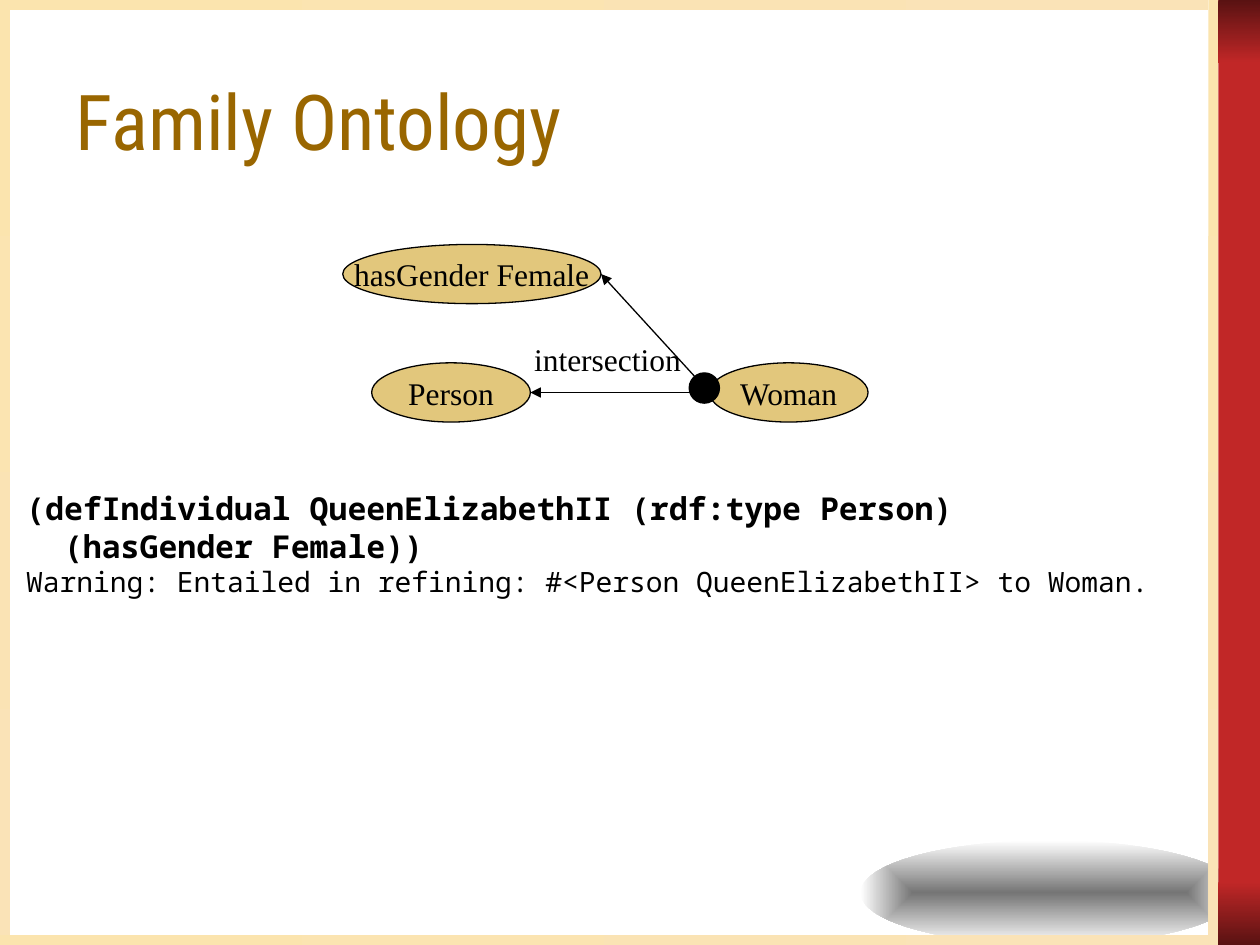
from lxml import etree
from pptx import Presentation
from pptx.dml.color import RGBColor
from pptx.enum.shapes import MSO_CONNECTOR, MSO_SHAPE
from pptx.enum.text import MSO_ANCHOR, MSO_AUTO_SIZE, PP_ALIGN
from pptx.oxml import parse_xml
from pptx.oxml.ns import nsdecls, qn
from pptx.util import Inches, Pt

COLORS = {
    "title": "996600", "ink": "000000", "node": "E2C77C",
    "cream": "FBE4AE", "sand": "FAE3B7", "red": "C12727",
    "maroon": "591212", "grey": "757575", "white": "FFFFFF",
}
FONTS = {"title": "Roboto Condensed", "code": "Noto Sans Mono", "label": "Times New Roman"}


def rgb(name):
    """Return the palette colour with this name."""
    return RGBColor.from_string(COLORS[name])


def style(paragraph, font, size, color="ink", bold=False):
    """Format every run of a paragraph."""
    for r in paragraph.runs:
        r.font.name = FONTS[font]
        r.font.size = Pt(size)
        r.font.bold = bold
        r.font.color.rgb = rgb(color)


def add_shape(s, kind, box, fill=None, line=None):
    """Add a flat preset shape in a box given in inches."""
    sp = s.shapes.add_shape(kind, *map(Inches, box))
    sp.shadow.inherit = False
    if fill:
        sp.fill.solid()
        sp.fill.fore_color.rgb = rgb(fill)
    if line:
        sp.line.color.rgb = rgb(line)
        sp.line.width = Pt(0.75)
    else:
        sp.line.fill.background()
    return sp


def add_gradient(s, kind, box, colors, angle=270):
    """Add a shape with a two-colour linear gradient."""
    sp = add_shape(s, kind, box)
    sp.fill.gradient()
    sp.fill.gradient_angle = angle
    for stop, color, position in zip(sp.fill.gradient_stops, colors, (0, 1)):
        stop.color.rgb = rgb(color)
        stop.position = position
    return sp


def add_frame(s, width, height):
    """Draw the grey oval, the cream border and the red side bar."""
    edge, bar = 0.08, 0.33
    left = width - bar
    inner = left - edge
    oval = add_gradient(s, MSO_SHAPE.OVAL, (6.83, 6.67, 3, 0.83), ("grey", "white"))
    lin = oval.element.spPr.find(".//" + qn("a:lin"))
    lin.getparent().replace(lin, parse_xml(
        f'<a:path {nsdecls("a")} path="rect">'
        '<a:fillToRect l="50000" t="50000" r="50000" b="50000"/></a:path>'))
    add_shape(s, MSO_SHAPE.RECTANGLE, (left, 0, bar, height), "red")
    for top, colors in ((0, ("maroon", "red")), (height - 0.5, ("red", "maroon"))):
        add_gradient(s, MSO_SHAPE.RECTANGLE, (left, top, bar, 0.5), colors)
    for x in (0, inner):
        add_gradient(s, MSO_SHAPE.RECTANGLE, (x, 0, edge, height), ("cream", "sand"))
    for y in (0, height - edge):
        add_gradient(s, MSO_SHAPE.RECTANGLE, (0, y, inner, edge), ("sand", "cream"), 180)


def add_title(s, box, text):
    """Place and format the title placeholder in front of the frame."""
    title = s.shapes.title
    title.left, title.top, title.width, title.height = map(Inches, box)
    s.shapes.element.append(title.element)
    tf = title.text_frame
    tf.text = text
    tf.vertical_anchor = MSO_ANCHOR.MIDDLE
    tf.paragraphs[0].alignment = PP_ALIGN.LEFT
    style(tf.paragraphs[0], "title", 44, "title")


def add_text(s, box, font, lines):
    """Write lines of text, each given as text, size and bold."""
    tf = s.shapes.add_textbox(*map(Inches, box)).text_frame
    tf.word_wrap = True
    tf.auto_size = MSO_AUTO_SIZE.SHAPE_TO_FIT_TEXT
    tf.text = "\n".join(text for text, _, _ in lines)
    for p, (_, size, bold) in zip(tf.paragraphs, lines):
        style(p, font, size, bold=bold)


def add_node(s, box, text):
    """Add a labelled concept oval."""
    sp = add_shape(s, MSO_SHAPE.OVAL, box, "node", "ink")
    tf = sp.text_frame
    tf.text = text
    tf.word_wrap = False
    tf.vertical_anchor = MSO_ANCHOR.MIDDLE
    tf.paragraphs[0].alignment = PP_ALIGN.CENTER
    style(tf.paragraphs[0], "label", 18)
    return sp


def add_arrow(s, source, target):
    """Draw an arrow from the left of one node to the right of another."""
    line = s.shapes.add_connector(
        MSO_CONNECTOR.STRAIGHT, source.left, source.top + source.height // 2,
        target.left + target.width, target.top + target.height // 2)
    line.line.color.rgb = rgb("ink")
    line.line.width = Pt(0.75)
    ln = line.element.spPr.find(qn("a:ln"))
    etree.SubElement(ln, qn("a:tailEnd"), type="triangle")
    etree.SubElement(line.element.spPr, qn("a:effectLst"))


def add_diagram(s, left, top):
    """Draw the intersection that defines Woman."""
    high, row = 0.47, top + 0.94
    person = add_node(s, (left + 0.23, row, 1.26, high), "Person")
    woman = add_node(s, (left + 2.91, row, 1.26, high), "Woman")
    add_text(s, (left + 1.42, top + 0.71, 1.42, 0.4), "label", [("intersection", 18, False)])
    female = add_node(s, (left, top, 2.05, high), "hasGender Female")
    for target in (person, female):
        add_arrow(s, woman, target)
    add_shape(s, MSO_SHAPE.OVAL, (left + 2.75, row + 0.08, 0.24, 0.24), "ink", "ink")


def main():
    """Build the slide and save it."""
    width, height = 10, 7.5
    prs = Presentation()
    prs.slide_width, prs.slide_height = Inches(width), Inches(height)
    s = prs.slides.add_slide(prs.slide_layouts[5])
    s.background.fill.solid()
    s.background.fill.fore_color.rgb = rgb("white")
    add_frame(s, width, height)
    add_title(s, (0.5, 0.31, 9, 1.28), "Family Ontology")
    add_text(s, (0.11, 3.83, 9.61, 0.97), "code", [
        ("(defIndividual QueenElizabethII (rdf:type Person)", 18, True),
        ("  (hasGender Female))", 18, True),
        ("Warning: Entailed in refining: #<Person QueenElizabethII> to Woman.", 16, False),
    ])
    add_diagram(s, 2.72, 1.94)
    prs.save("out.pptx")


if __name__ == "__main__":
    main()
